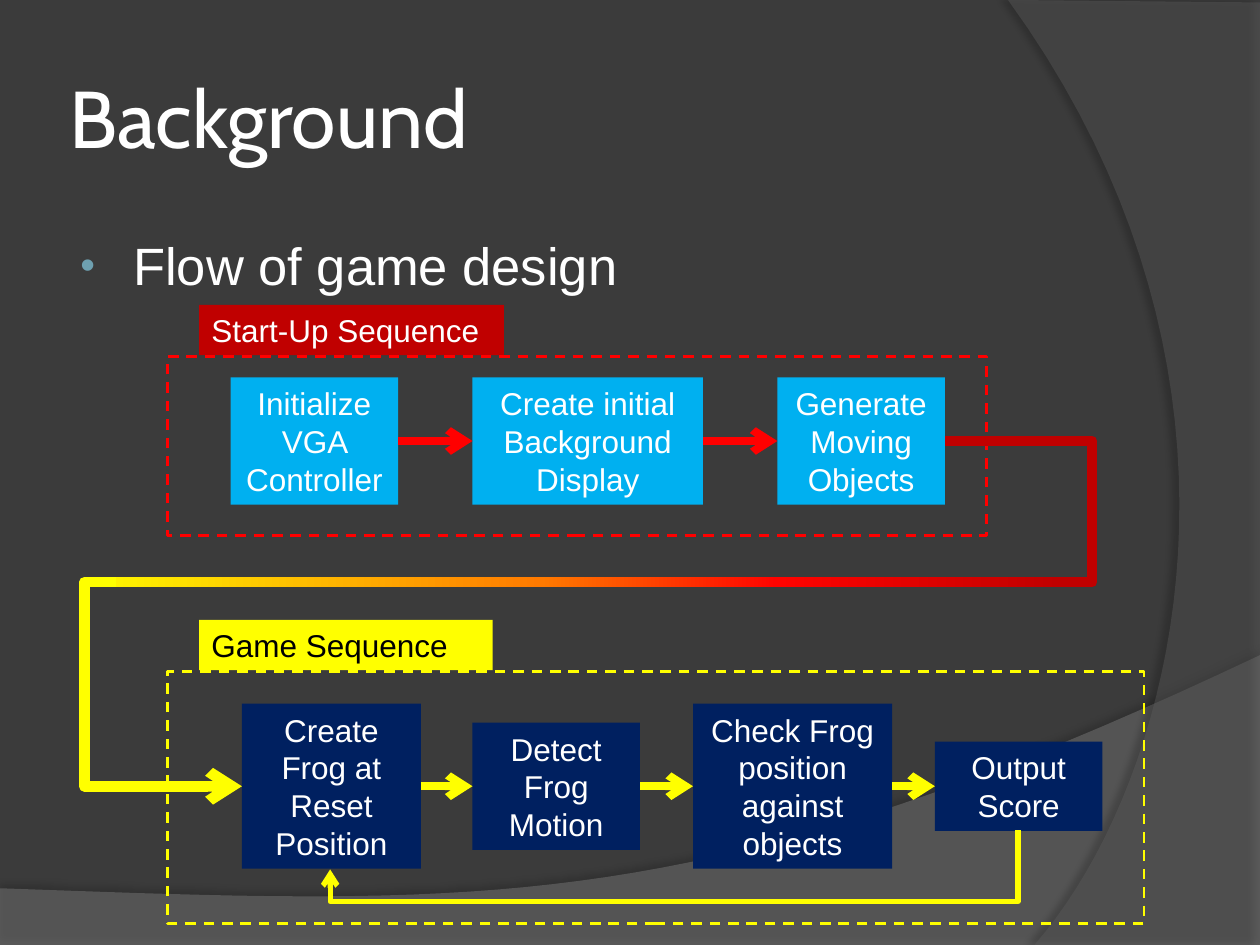
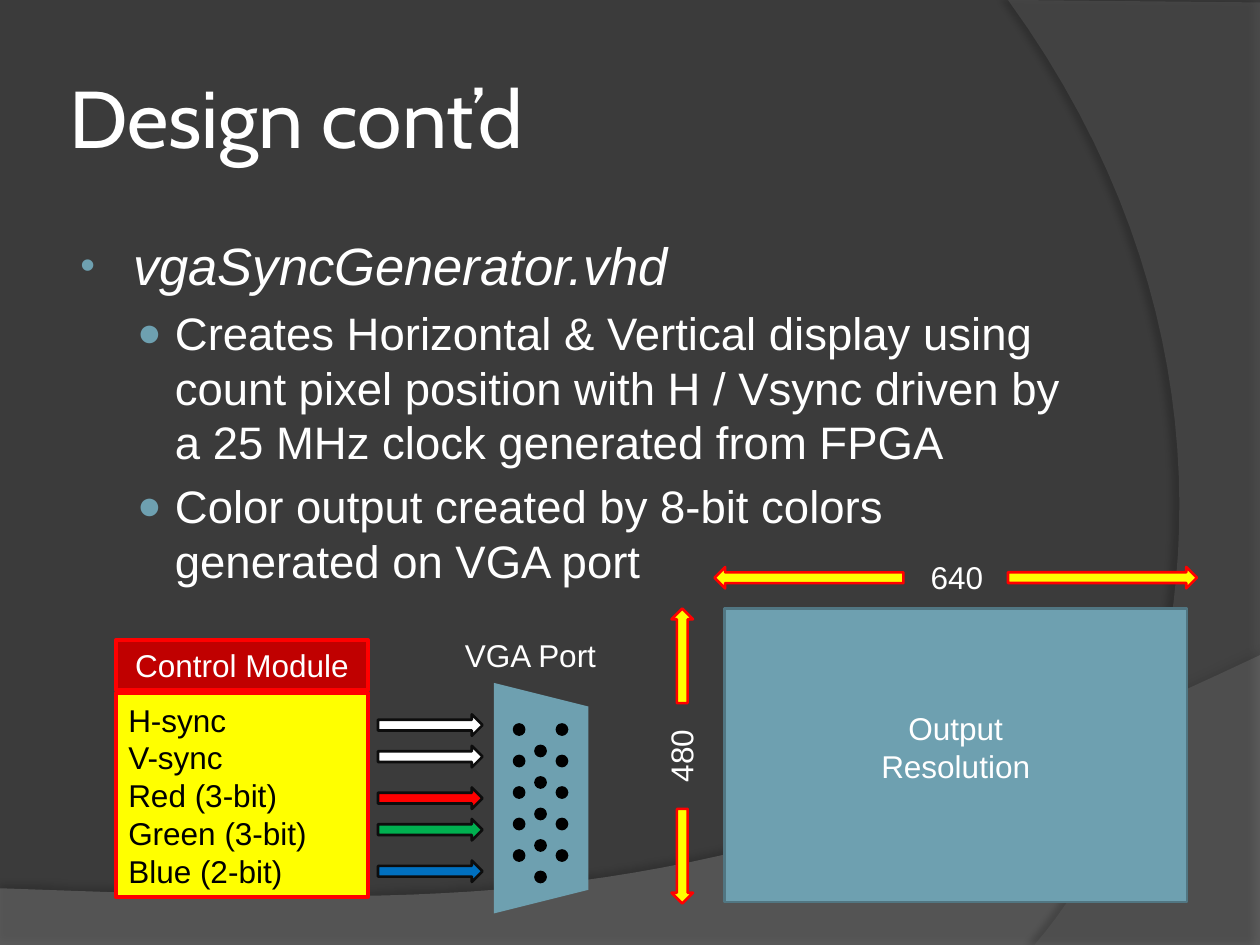
"""Builds two slides on a frog game: its design flow and its VGA sync generator."""
from dataclasses import dataclass
from itertools import pairwise

from lxml import etree
from pptx import Presentation
from pptx.dml.color import RGBColor
from pptx.enum.dml import MSO_LINE
from pptx.enum.shapes import MSO_CONNECTOR, MSO_SHAPE
from pptx.enum.text import MSO_ANCHOR, PP_ALIGN
from pptx.oxml.ns import qn
from pptx.util import Inches, Pt

RECTANGLE, ARROW = MSO_SHAPE.RECTANGLE, MSO_SHAPE.RIGHT_ARROW
TRAPEZOID, OVAL = MSO_SHAPE.TRAPEZOID, MSO_SHAPE.OVAL
STRAIGHT, ELBOW = MSO_CONNECTOR.STRAIGHT, MSO_CONNECTOR.ELBOW
LEFT, CENTER, MIDDLE = PP_ALIGN.LEFT, PP_ALIGN.CENTER, MSO_ANCHOR.MIDDLE
DASH = MSO_LINE.DASH

WHITE, BLACK, CHARCOAL, INK = "FFFFFF", "000000", "3B3B3B", "0D0D0D"
RED, DARK_RED, YELLOW = "FF0000", "C00000", "FFFF00"
SKY, NAVY, TEAL, DARK_TEAL = "00B0F0", "002060", "6EA0B0", "517682"
GREEN, BLUE = "00B050", "0070C0"
TITLE_FONT, BODY_FONT = "Cabin", "Arial"


@dataclass
class Block:
    """A preset shape with optional fill, outline and text."""
    left: float
    top: float
    width: float
    height: float
    fill: str | None = None
    line: str | None = None
    line_width: float = 1.5
    dashed: bool = False
    kind: int = RECTANGLE
    rotation: float = 0
    text: tuple[str, ...] = ()
    text_color: str = WHITE
    align: int = CENTER


@dataclass
class Backdrop:
    """A translucent curved panel behind the content."""
    start: tuple[float, float]
    corners: list[tuple[float, float]]
    controls: list[tuple[float, float]]
    fill: str
    alpha: int
    shadow_alpha: int
    shadow_distance: float
    shadow_angle: int


@dataclass
class Bullet:
    """A line of the bullet list."""
    text: str
    level: int = 0
    italic: bool = False


@dataclass
class BulletStyle:
    """Indents, mark and size of one list level."""
    margin: float
    hanging: float
    mark: str
    mark_size: int
    size: int


BULLET_STYLES = [BulletStyle(0.46, 0.42, "•", 80, 30), BulletStyle(0.79, 0.3, "●", 90, 26)]
BACKDROPS = [
    Backdrop((0, 7.05), [(0, 7.5), (10, 7.5), (10, 5.2)],
             [(5.59, 7.29), (3.91, 7.19), (0, 7.05)], "7F7F7F", 45, 35, 3.5, 270),
    Backdrop((8, 0), [(10, 0.02), (10, 7.5), (8.21, 7.5)],
             [(9.35, 6.19), (10.18, 3), (8, 0)], "5E5E5E", 40, 45, 4, 180),
]


def rgb(color: str) -> RGBColor:
    """Turn a hex string into a colour."""
    return RGBColor.from_string(color)


def add_element(parent, tag: str, **attributes):
    """Append a DrawingML child element."""
    values = {key: str(value) for key, value in attributes.items()}
    return etree.SubElement(parent, qn(f"a:{tag}"), values)


def set_font(paragraph, name: str, size: float, color: str, italic: bool = False) -> None:
    """Format all the text of a paragraph."""
    font = paragraph.font
    font.name, font.size, font.italic = name, Pt(size), italic
    font.color.rgb = rgb(color)


def write(frame, lines: tuple[str, ...], color: str, align: int) -> None:
    """Fill a text frame with label paragraphs."""
    frame.word_wrap = True
    frame.text = "\n".join(lines)
    for paragraph in frame.paragraphs:
        paragraph.alignment = align
        set_font(paragraph, BODY_FONT, 18, color)


def add_block(slide, block: Block):
    """Draw a block and return its shape."""
    shape = slide.shapes.add_shape(block.kind, Inches(block.left), Inches(block.top),
                                   Inches(block.width), Inches(block.height))
    shape.shadow.inherit = False
    shape.rotation = block.rotation
    if block.fill:
        shape.fill.solid()
        shape.fill.fore_color.rgb = rgb(block.fill)
    else:
        shape.fill.background()
    if block.line:
        shape.line.color.rgb = rgb(block.line)
        shape.line.width = Pt(block.line_width)
        if block.dashed:
            shape.line.dash_style = DASH
    else:
        shape.line.fill.background()
    if block.text:
        write(shape.text_frame, block.text, block.text_color, block.align)
    return shape


def add_label(slide, text: str, left: float, top: float, width: float,
              height: float = 0.4, rotation: float = 0) -> None:
    """Draw a centred white label."""
    box = slide.shapes.add_textbox(Inches(left), Inches(top), Inches(width), Inches(height))
    box.rotation = rotation
    write(box.text_frame, (text,), WHITE, CENTER)


def style_connector(connector, color: str, width: float, arrow: bool = True) -> None:
    """Set a connector's line and arrowhead and drop its shadow."""
    connector.line.color.rgb = rgb(color)
    connector.line.width = Pt(width)
    properties = connector.element.spPr
    if arrow:
        add_element(properties.find(qn("a:ln")), "tailEnd", type="arrow")
    add_element(properties, "effectLst")


def add_elbow(slide, start: tuple[float, float], end: tuple[float, float], bend: float,
              color: str, width: float, arrow: bool = True, turned: bool = False) -> None:
    """Draw an elbow whose middle leg lies at the given share of its span."""
    if turned:
        center_x, center_y = (start[0] + end[0]) / 2, (start[1] + end[1]) / 2
        half_width, half_height = (end[1] - start[1]) / 2, (start[0] - end[0]) / 2
        start = center_x - half_width, center_y - half_height
        end = center_x + half_width, center_y + half_height
    connector = slide.shapes.add_connector(ELBOW, *map(Inches, start + end))
    style_connector(connector, color, width, arrow)
    properties = connector.element.spPr
    if turned:
        properties.xfrm.set("rot", str(90 * 60000))
    guides = properties.find(qn("a:prstGeom")).find(qn("a:avLst"))
    add_element(guides, "gd", name="adj1", fmla=f"val {round(bend * 100000)}")


def add_flow(slide, steps: list[tuple[str, float, float, float]], center: float,
             fill: str) -> list:
    """Draw a row of step boxes around a centre line."""
    return [add_block(slide, Block(left, center - height / 2, width, height, fill, text=(text,)))
            for text, left, width, height in steps]


def join_flow(slide, boxes: list, color: str) -> None:
    """Join neighbouring boxes with arrows."""
    for source, target in pairwise(boxes):
        connector = slide.shapes.add_connector(STRAIGHT, 0, 0, 0, 0)
        connector.begin_connect(source, 3)
        connector.end_connect(target, 1)
        style_connector(connector, color, 4.5)


def add_gradient_bar(slide, block: Block, stops: list[tuple[int, str]]) -> None:
    """Draw a block filled with a left-to-right gradient."""
    fill = add_block(slide, block).fill
    fill.gradient()
    fill.gradient_angle = 0
    bar = slide.shapes[-1].element.spPr
    stop_list = bar.find(qn("a:gradFill")).find(qn("a:gsLst"))
    stop_list.clear()
    for position, color in stops:
        add_element(add_element(stop_list, "gs", pos=position * 1000), "srgbClr", val=color)


def add_backdrop(slide, backdrop: Backdrop) -> None:
    """Draw a curved panel, tracing its cubic edge with short segments."""
    curve = [backdrop.corners[-1], *backdrop.controls]
    points = list(backdrop.corners)
    for step in range(1, 41):
        t = step / 40
        weights = (1 - t) ** 3, 3 * t * (1 - t) ** 2, 3 * t * t * (1 - t), t ** 3
        points.append(tuple(sum(w * point[axis] for w, point in zip(weights, curve))
                            for axis in (0, 1)))
    builder = slide.shapes.build_freeform(*map(Inches, backdrop.start))
    builder.add_line_segments([(Inches(x), Inches(y)) for x, y in points])
    shape = builder.convert_to_shape()
    shape.fill.solid()
    shape.fill.fore_color.rgb = rgb(backdrop.fill)
    shape.line.fill.background()
    shape.shadow.inherit = False
    properties = shape.element.spPr
    color = properties.find(qn("a:solidFill")).find(qn("a:srgbClr"))
    add_element(color, "alpha", val=backdrop.alpha * 1000)
    shadow = add_element(properties.find(qn("a:effectLst")), "outerShdw", blurRad=Pt(4),
                         dist=Pt(backdrop.shadow_distance), dir=backdrop.shadow_angle * 60000,
                         algn="ctr", rotWithShape=0)
    add_element(add_element(shadow, "srgbClr", val=BLACK), "alpha",
                val=backdrop.shadow_alpha * 1000)


def add_bullets(slide, bullets: list[Bullet]) -> None:
    """Draw the bullet list below the title."""
    box = slide.shapes.add_textbox(Inches(0.5), Inches(1.75), Inches(8.17), Inches(4.95))
    frame = box.text_frame
    frame.word_wrap = True
    frame.margin_top = Inches(0.1)
    frame.text = "\n".join(bullet.text for bullet in bullets)
    for index, (paragraph, bullet) in enumerate(zip(frame.paragraphs, bullets)):
        style = BULLET_STYLES[bullet.level]
        paragraph.level = bullet.level
        properties = paragraph._p.get_or_add_pPr()
        properties.set("marL", str(Inches(style.margin)))
        properties.set("indent", str(-Inches(style.hanging)))
        add_element(add_element(properties, "buClr"), "srgbClr", val=TEAL)
        add_element(properties, "buSzPct", val=style.mark_size * 1000)
        add_element(properties, "buFont", typeface=BODY_FONT)
        add_element(properties, "buChar", char=style.mark)
        if index:
            paragraph.space_before = Pt(style.size * 0.2)
        set_font(paragraph, BODY_FONT, style.size, WHITE, bullet.italic)


def new_slide(presentation, heading: str, bullets: list[Bullet]):
    """Add a slide with the shared background, title and bullet list."""
    slide = presentation.slides.add_slide(presentation.slide_layouts[5])
    slide.background.fill.solid()
    slide.background.fill.fore_color.rgb = rgb(CHARCOAL)
    for backdrop in BACKDROPS:
        add_backdrop(slide, backdrop)
    title = slide.shapes.title
    title.element.getparent().append(title.element)
    title.left, title.top, title.width, title.height = map(Inches, (0.5, 0.3, 8.17, 1.25))
    frame = title.text_frame
    frame.margin_left = frame.margin_right = frame.margin_top = frame.margin_bottom = Inches(0.05)
    frame.vertical_anchor = MIDDLE
    frame.text = heading
    frame.paragraphs[0].alignment = LEFT
    set_font(frame.paragraphs[0], TITLE_FONT, 46, WHITE)
    add_bullets(slide, bullets)
    return slide


def build_background(presentation) -> None:
    """Build the slide with the flow of the game."""
    slide = new_slide(presentation, "Background", [Bullet("Flow of game design")])
    startup = add_flow(slide, [("Initialize VGA Controller", 1.83, 1.33, 1.01),
                               ("Create initial Background Display", 3.75, 1.83, 1.01),
                               ("Generate Moving Objects", 6.17, 1.33, 1.01)], 3.5, SKY)
    game = add_flow(slide, [("Create Frog at Reset Position", 1.92, 1.42, 1.31),
                            ("Detect Frog Motion", 3.75, 1.33, 1.01),
                            ("Check Frog position against objects", 5.5, 1.58, 1.31),
                            ("Output Score", 7.42, 1.33, 0.71)], 6.24, NAVY)
    for block in (
        Block(1.58, 2.42, 2.42, 0.4, DARK_RED, text=("Start-Up Sequence",), align=LEFT),
        Block(1.58, 4.92, 2.33, 0.4, YELLOW, text=("Game Sequence",), text_color=BLACK, align=LEFT),
        Block(1.33, 2.83, 6.5, 1.42, line=RED, dashed=True),
        Block(1.33, 5.33, 7.75, 2, line=YELLOW, dashed=True),
    ):
        add_block(slide, block)
    join_flow(slide, startup, RED)
    add_elbow(slide, (7.5, 3.5), (8.42, 4.62), 1.27, DARK_RED, 6, arrow=False)
    add_elbow(slide, (0.92, 4.62), (1.92, 6.24), -0.25, YELLOW, 6)
    join_flow(slide, game, YELLOW)
    add_gradient_bar(slide, Block(0.92, 4.58, 7.5, 0.08),
                     [(0, "FFF200"), (45, "FF7A00"), (70, "FF0300"), (100, DARK_RED)])
    add_elbow(slide, (8.08, 6.59), (2.62, 6.9), 1.82, YELLOW, 3, turned=True)


def build_design(presentation) -> None:
    """Build the slide with the control module, VGA port and resolution."""
    slide = new_slide(presentation, "Design cont’d", [
        Bullet("vgaSyncGenerator.vhd", italic=True),
        Bullet("Creates Horizontal & Vertical display using count pixel position with "
               "H / Vsync driven by a 25 MHz clock generated from FPGA", 1),
        Bullet("Color output created by 8-bit colors generated on VGA port", 1)])
    add_label(slide, "640", 7.18, 4.38, 0.83)
    add_label(slide, "480", 4.99, 5.8, 0.83, rotation=270)
    for left, top, width, rotation in ((8, 4.5, 1.5, 0), (5.67, 4.5, 1.5, 180),
                                       (5.04, 6.71, 0.75, 90), (5.04, 5.12, 0.75, 270)):
        add_block(slide, Block(left, top, width, 0.17, YELLOW, RED, kind=ARROW, rotation=rotation))
    signals = ("H-sync", "V-sync", "Red (3-bit)", "Green (3-bit)", "Blue (2-bit)")
    for block in (
        Block(3.38, 5.96, 1.83, 0.75, TEAL, kind=TRAPEZOID, rotation=90),
        Block(0.92, 5.08, 2, 0.4, DARK_RED, RED, 2.25, text=("Control Module",)),
        Block(0.92, 5.5, 2, 1.62, YELLOW, RED, 2.25, text=signals, text_color=BLACK, align=LEFT),
    ):
        add_block(slide, block)
    add_label(slide, "VGA Port", 3.5, 5, 1.42)
    for top, color in ((5.67, WHITE), (5.92, WHITE), (6.25, RED), (6.5, GREEN), (6.83, BLUE)):
        add_block(slide, Block(3, top, 0.83, 0.17, color, INK, kind=ARROW))
    for left, first_top in ((4.08, 5.75), (4.25, 5.92), (4.42, 5.75)):
        for row in range(5):
            add_block(slide, Block(left, first_top + 0.25 * row, 0.08, 0.08, BLACK, BLACK, kind=OVAL))
    add_block(slide, Block(5.75, 4.83, 3.67, 2.33, TEAL, DARK_TEAL))
    add_label(slide, "Output Resolution", 6.75, 5.58, 1.67, 0.71)


def main() -> None:
    """Build and save the presentation."""
    presentation = Presentation()
    presentation.slide_width, presentation.slide_height = Inches(10), Inches(7.5)
    build_background(presentation)
    build_design(presentation)
    presentation.save("out.pptx")


if __name__ == "__main__":
    main()
